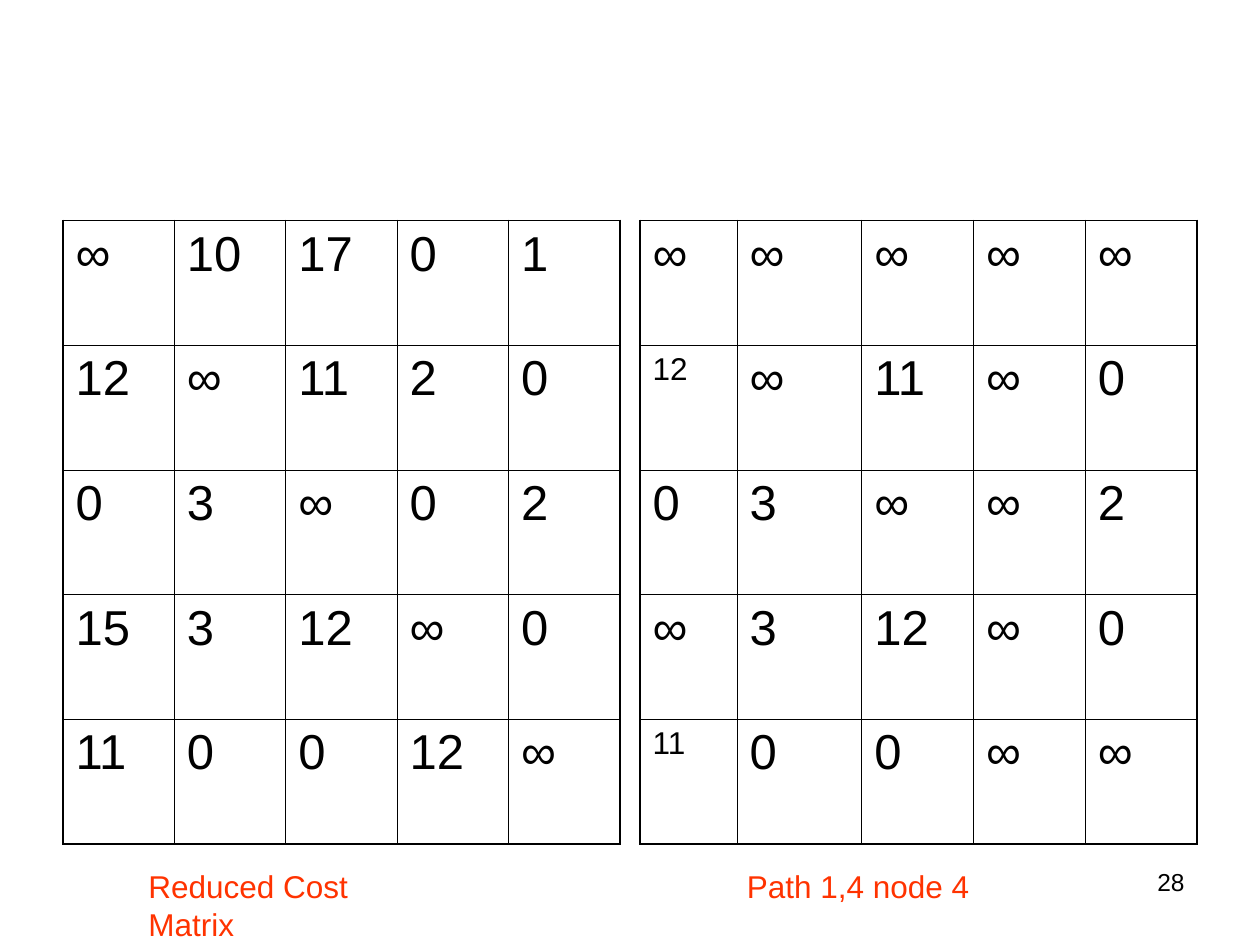
from lxml.etree import SubElement
from pptx import Presentation
from pptx.dml.color import RGBColor
from pptx.enum.text import PP_ALIGN
from pptx.oxml.ns import qn
from pptx.util import Inches, Pt

BLACK = RGBColor(0x00, 0x00, 0x00)
ORANGE_RED = RGBColor(0xFF, 0x33, 0x00)
SIZE = 5
MATRIX_TOP = 1.75
MATRIX_WIDTH = 4.42
ROW_HEIGHT = 0.99
CAPTION_TOP = 6.83
OUTER_LINE, INNER_LINE = Pt(1.08), Pt(0.45)
EVEN_COLUMNS = [MATRIX_WIDTH / SIZE] * SIZE
PATH_COLUMNS = [0.77, 0.99] + [(MATRIX_WIDTH - 0.77 - 0.99) / 3] * 3

REDUCED_COSTS = """
∞ 10 17 0 1
12 ∞ 11 2 0
0 3 ∞ 0 2
15 3 12 ∞ 0
11 0 0 12 ∞
"""
PATH_COSTS = """
∞ ∞ ∞ ∞ ∞
12 ∞ 11 ∞ 0
0 3 ∞ ∞ 2
∞ 3 12 ∞ 0
11 0 0 ∞ ∞
"""


def write_text(frame, text, size=18, color=BLACK, align=PP_ALIGN.LEFT):
    """Write one formatted paragraph into a text frame."""
    paragraph = frame.paragraphs[0]
    paragraph.alignment = align
    run = paragraph.add_run()
    run.text = text
    run.font.name = "Arial"
    run.font.size = Pt(size)
    run.font.color.rgb = color


def add_label(slide, text, left, width, height=0.4, wrap=True, **text_format):
    """Add a text box on the caption line."""
    box = slide.shapes.add_textbox(
        Inches(left), Inches(CAPTION_TOP), Inches(width), Inches(height))
    box.text_frame.word_wrap = wrap
    write_text(box.text_frame, text, **text_format)


def set_borders(cell, row, column):
    """Draw thick lines on the outside of the matrix and thin lines inside."""
    last = SIZE - 1
    outer_sides = {"L": column == 0, "R": column == last, "T": row == 0, "B": row == last}
    properties = cell._tc.get_or_add_tcPr()
    for side, is_outer in outer_sides.items():
        width = OUTER_LINE if is_outer else INNER_LINE
        line = SubElement(properties, qn(f"a:ln{side}"), w=str(int(width)))
        fill = SubElement(line, qn("a:solidFill"))
        SubElement(fill, qn("a:srgbClr"), val=str(BLACK))


def add_matrix(slide, costs, left, column_widths, small_cells=()):
    """Add a square cost matrix as a table."""
    table = slide.shapes.add_table(
        SIZE, SIZE, Inches(left), Inches(MATRIX_TOP),
        Inches(MATRIX_WIDTH), Inches(ROW_HEIGHT * SIZE)).table
    table.first_row = table.horz_banding = False
    for column, width in zip(table.columns, column_widths):
        column.width = Inches(width)
    for row, values in enumerate(costs.strip().splitlines()):
        table.rows[row].height = Inches(ROW_HEIGHT)
        for column, value in enumerate(values.split()):
            cell = table.cell(row, column)
            set_borders(cell, row, column)
            cell.fill.background()
            write_text(cell.text_frame, value, size=18 if (row, column) in small_cells else 28)


def main():
    """Build the slide with two matrices, their captions and the page number."""
    presentation = Presentation()
    presentation.slide_width, presentation.slide_height = Inches(10), Inches(7.5)
    slide = presentation.slides.add_slide(presentation.slide_layouts[6])
    add_matrix(slide, REDUCED_COSTS, 0.5, EVEN_COLUMNS)
    add_matrix(slide, PATH_COSTS, 5.08, PATH_COLUMNS, small_cells={(1, 0), (4, 0)})
    add_label(slide, "Path 1,4 node 4", 5.83, 3.17, color=ORANGE_RED)
    add_label(slide, "Reduced Cost Matrix", 1.08, 2.53, wrap=False, color=ORANGE_RED)
    add_label(slide, "28", 7.17, 2.33, height=0.52, size=14, align=PP_ALIGN.RIGHT)
    presentation.save("out.pptx")


if __name__ == "__main__":
    main()
